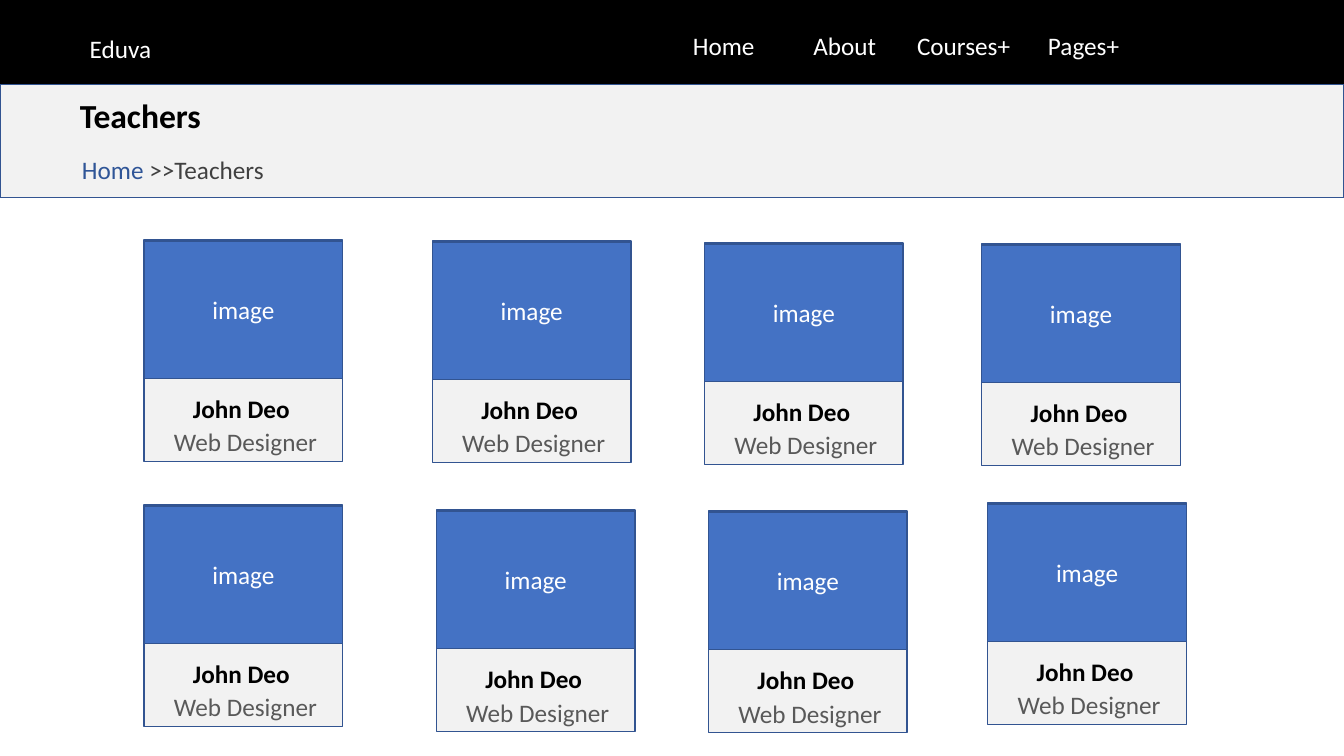
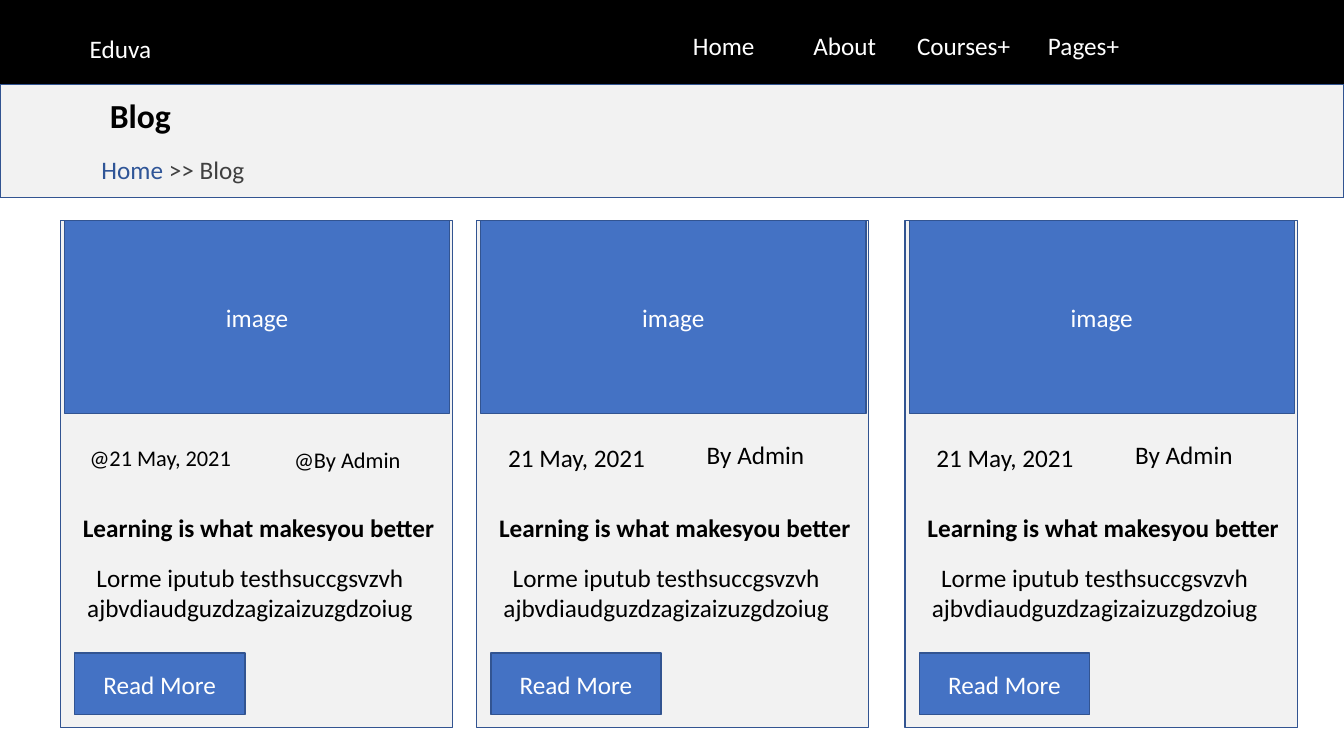
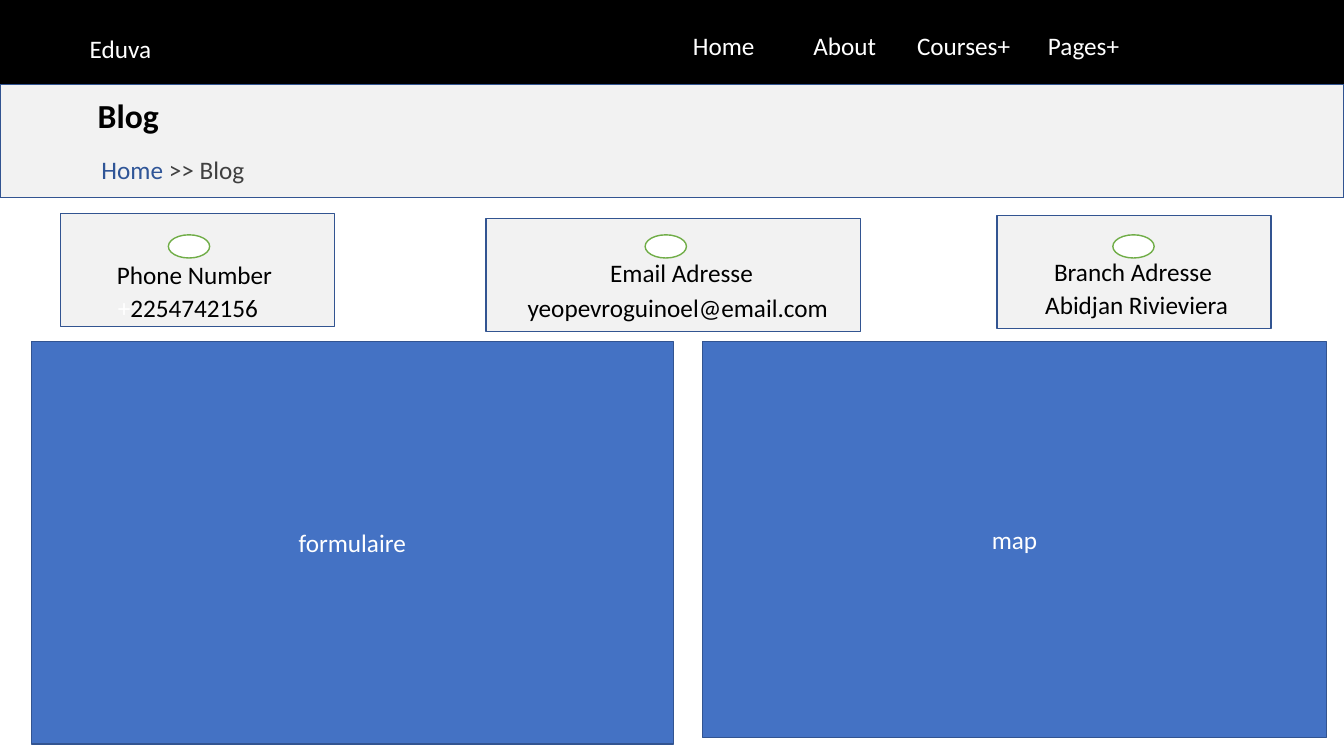
from pptx import Presentation
from pptx.dml.color import RGBColor
from pptx.enum.shapes import MSO_SHAPE
from pptx.enum.text import MSO_ANCHOR, MSO_AUTO_SIZE, PP_ALIGN
from pptx.util import Inches, Pt

# Slide grid: every length below counts columns or rows
WIDTH, HEIGHT = Inches(13.333), Inches(7.5)
COLUMNS, ROWS = 40, 22.5

# Shared style
FONT = "Calibri"
BLACK, WHITE, PALE = "000000", "FFFFFF", "F2F2F2"
BLUE, OUTLINE, LINK, GREEN = "4472C4", "325491", "2F5597", "70AD47"
DARK_GREY, GREY = "404040", "595959"

MENU = [("Home", 20.04, 3), ("About", 23.64, 3),
        ("Courses+", 26.88, 3.6), ("Pages+", 30.75, 3)]

# Left and top of each teacher card
TEACHER_CARDS = [(4.29, 7.14), (12.87, 7.17), (20.97, 7.23), (29.22, 7.26),
                 (4.29, 15.03), (12.99, 15.18), (21.09, 15.21), (29.4, 14.97)]

# Card left, date, author, author offset, author top, text size
POSTS = [(1.8, "@21 May, 2021", "@By Admin", 6.21, 13.05, 16),
         (14.19, "21 May, 2021", "By Admin", 5.97, 12.9, 18),
         (26.94, "21 May, 2021", "By Admin", 5.97, 12.9, 18)]

# Frame, icon left, label with its place, value runs with their place, alignment
CONTACTS = [
    ((1.8, 6.36, 8.16, 3.36), 5.01, "Phone Number", (3.12, 7.83),
     [("+", WHITE), ("2254742156", BLACK)], (3.21, 8.82, 5.34, 0.69), PP_ALIGN.LEFT),
    ((14.46, 6.51, 11.16, 3.36), 19.2, "Email Adresse ", (17.7, 7.77),
     [("yeopevroguinoel@email.com", BLACK)], (15.06, 8.58, 10.23, 1.14), PP_ALIGN.CENTER),
    ((29.67, 6.42, 8.16, 3.36), 33.12, "Branch Adresse", (31.05, 7.74),
     [("Abidjan Rivieviera ", BLACK)], (30.75, 8.67, 6.33, 0.81), PP_ALIGN.CENTER),
]


def color(value):
    return RGBColor.from_string(value)


def place(left, top, width, height):
    """Turn grid columns and rows into slide lengths."""
    return (round(left * WIDTH / COLUMNS), round(top * HEIGHT / ROWS),
            round(width * WIDTH / COLUMNS), round(height * HEIGHT / ROWS))


def write(shape, lines, size=18, bold=False, align=PP_ALIGN.CENTER):
    """Fill a shape with lines, each a list of (text, colour) runs."""
    frame = shape.text_frame
    frame.word_wrap = True
    frame.auto_size = MSO_AUTO_SIZE.NONE
    frame.vertical_anchor = MSO_ANCHOR.MIDDLE
    for index, runs in enumerate(lines):
        para = frame.add_paragraph() if index else frame.paragraphs[0]
        para.alignment = align
        for text, ink in runs:
            span = para.add_run()
            span.text = text
            span.font.name = FONT
            span.font.size = Pt(size)
            span.font.bold = bold
            span.font.color.rgb = color(ink)


def add_label(page, area, *texts, ink=BLACK, **style):
    box = page.shapes.add_textbox(*place(*area))
    write(box, [[(text, ink)] for text in texts], **style)


def add_runs(page, area, runs, **style):
    write(page.shapes.add_textbox(*place(*area)), [runs], **style)


def add_block(page, area, fill=PALE, line=OUTLINE, text=None, kind=MSO_SHAPE.RECTANGLE):
    block = page.shapes.add_shape(kind, *place(*area))
    block.shadow.inherit = False
    block.fill.solid()
    block.fill.fore_color.rgb = color(fill)
    block.line.color.rgb = color(line)
    block.line.width = Pt(1)
    if text:
        write(block, [[(text, WHITE)]])
    return block


def add_page(deck, heading, trail, heading_left=1.71):
    """Add a page with its menu, title band and breadcrumb."""
    page = deck.slides.add_slide(deck.slide_layouts[5])
    # Menu bar
    add_block(page, (0, 0, COLUMNS, 2.52), BLACK, BLACK)
    add_label(page, (1.8, 0.84, 3.57, 1.23), "Eduva", ink=WHITE)
    for text, left, width in MENU:
        add_label(page, (left, 0.75, width, 1.23), text, ink=WHITE)
    # Title band, with the title in front of it
    band = add_block(page, (0, 2.52, COLUMNS, 3.36))
    title = page.shapes.title
    band.element.addnext(title.element)
    title.left, title.top, title.width, title.height = place(heading_left, 2.7, 5.16, 1.44)
    write(title, [[(heading, BLACK)]], size=24, bold=True)
    add_runs(page, (1.8, 4.35, 6.69, 1.41), [("Home ", LINK), (trail, DARK_GREY)])
    return page


def add_teacher(page, left, top):
    add_block(page, (left, top, 5.91, 6.6))
    add_block(page, (left, top + 0.04, 5.91, 4.08), BLUE, text="image")
    add_label(page, (left + 1.05, top + 4.6, 3.69, 0.81), "John Deo", bold=True)
    add_label(page, (left, top + 5.5, 6.03, 1.02), "Web Designer", ink=GREY)


def add_post(page, left, date, author, author_offset, author_top, size):
    inner = left + 0.12
    add_block(page, (left, 6.57, 11.67, 15.09))
    add_block(page, (inner, 6.57, 11.46, 5.73), BLUE, text="image")
    add_label(page, (left + 0.45, 12.99, 5.04, 1.23), date, size=size)
    add_label(page, (left + author_offset, author_top, 4.65, 1.23), author, size=size)
    add_label(page, (inner, 15.09, 11.55, 1.23), "Learning is what makesyou better", bold=True)
    add_label(page, (inner, 16.56, 11.04, 2.16),
              "Lorme iputub testhsuccgsvzvh", "ajbvdiaudguzdzagizaizuzgdzoiug")
    add_block(page, (left + 0.42, 19.44, 5.07, 1.83), BLUE, text="Read More")


def add_contact(page, frame, icon_left, label, label_spot, value, value_area, align):
    add_block(page, frame)
    add_block(page, (icon_left, 6.99, 1.23, 0.69), WHITE, GREEN, kind=MSO_SHAPE.OVAL)
    add_label(page, (*label_spot, 5.34, 0.69), label)
    add_runs(page, value_area, value, align=align)


def main():
    deck = Presentation()
    deck.slide_width, deck.slide_height = WIDTH, HEIGHT

    # Teachers
    teachers = add_page(deck, "Teachers ", ">>Teachers")
    for left, top in TEACHER_CARDS:
        add_teacher(teachers, left, top)

    # Blog posts
    blog = add_page(deck, "Blog ", ">> Blog")
    for post in POSTS:
        add_post(blog, *post)

    # Contact details, form and map
    contact = add_page(deck, "Blog ", ">> Blog", heading_left=1.35)
    for details in CONTACTS:
        add_contact(contact, *details)
    add_block(contact, (0.93, 10.17, 19.11, 11.97), BLUE, text="formulaire")
    add_block(contact, (20.91, 10.17, 18.57, 11.79), BLUE, text="map")

    deck.save("out.pptx")


main()
